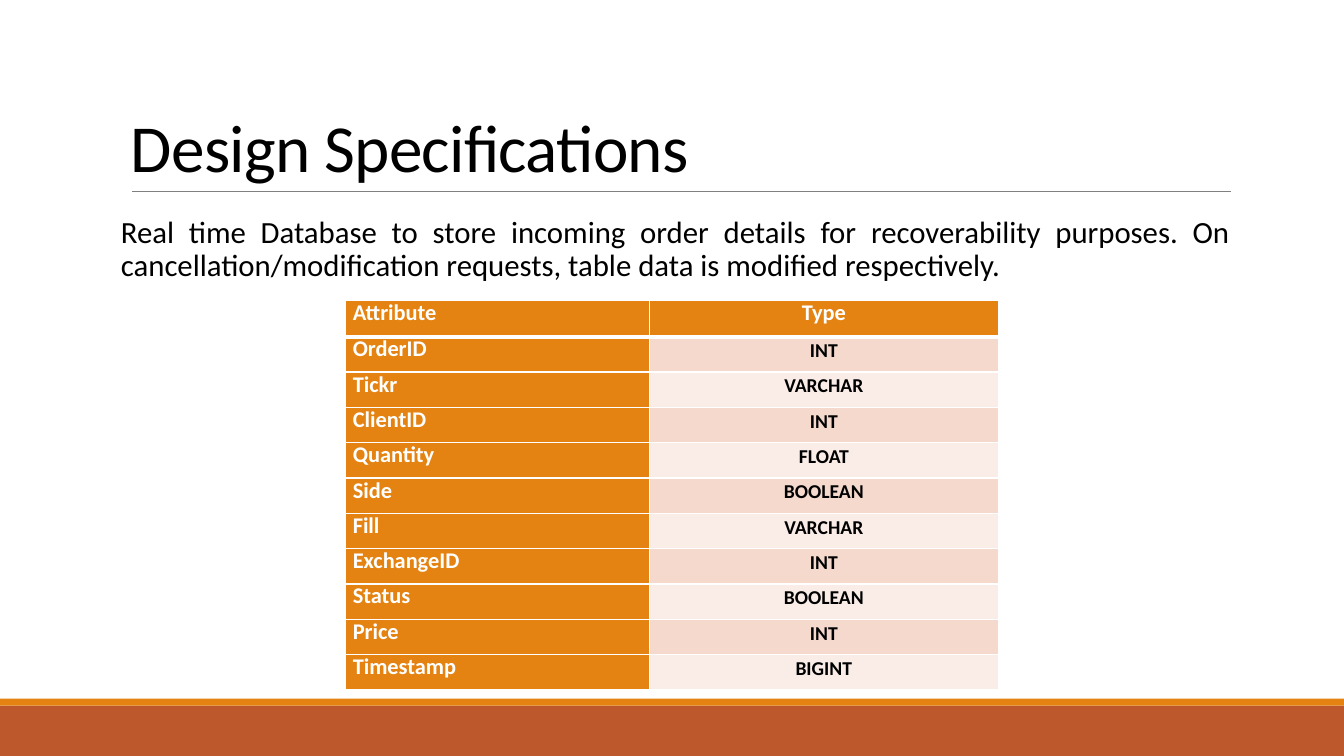
"""Build the Design Specifications slide with its order table."""
from dataclasses import dataclass

from lxml.etree import SubElement
from pptx import Presentation
from pptx.dml.color import RGBColor
from pptx.enum.shapes import MSO_CONNECTOR, MSO_SHAPE
from pptx.enum.text import MSO_ANCHOR, PP_ALIGN
from pptx.oxml.ns import qn
from pptx.slide import Slide
from pptx.table import _Cell
from pptx.text.text import TextFrame
from pptx.util import Length, Pt

WIDTH, HEIGHT = 960, 540
ORANGE, RUST, GRAY = "E48312", "BD582C", "808080"
BLACK, WHITE = "000000", "FFFFFF"
TYPE_FILLS = ("F5D9CC", "FAEDE7")


@dataclass(frozen=True)
class Band:
    """A full-width strip at the foot of the slide."""
    top: float
    height: float
    color: str


@dataclass(frozen=True)
class Field:
    """One attribute of the order table and its type."""
    attribute: str
    type_name: str


BANDS = (Band(504, 36, RUST), Band(499, 5, ORANGE))
HEADING = Field("Attribute", "Type")
FIELDS = (
    Field("OrderID", "INT"),
    Field("Tickr", "VARCHAR"),
    Field("ClientID", "INT"),
    Field("Quantity", "FLOAT"),
    Field("Side", "BOOLEAN"),
    Field("Fill", "VARCHAR"),
    Field("ExchangeID", "INT"),
    Field("Status", "BOOLEAN"),
    Field("Price", "INT"),
    Field("Timestamp", "BIGINT"),
)


def rgb(color: str) -> RGBColor:
    """Turn a hex string into a colour."""
    return RGBColor.from_string(color)


def write(frame: TextFrame, text: str, *, size: float, color: str = BLACK,
          bold: bool = False, align: PP_ALIGN = PP_ALIGN.LEFT,
          line_spacing: float | Length = 1.0, before: float = 0,
          after: float = 0, tracking: float = 0) -> None:
    """Put one formatted paragraph into a text frame."""
    paragraph = frame.paragraphs[0]
    paragraph.alignment = align
    paragraph.line_spacing = line_spacing
    paragraph.space_before, paragraph.space_after = Pt(before), Pt(after)
    run = paragraph.add_run()
    run.text = text
    run.font.name, run.font.size, run.font.bold = "Calibri", Pt(size), bold
    run.font.color.rgb = rgb(color)
    if tracking:
        run.font._element.set("spc", str(round(tracking * 100)))


def add_frame(slide: Slide, top: float, height: float, side_inset: float,
              anchor: MSO_ANCHOR) -> TextFrame:
    """Add a wrapping text box across the content width."""
    frame = slide.shapes.add_textbox(Pt(86.4), Pt(top), Pt(792), Pt(height)).text_frame
    frame.word_wrap = True
    frame.vertical_anchor = anchor
    frame.margin_left = frame.margin_right = Pt(side_inset)
    frame.margin_top = frame.margin_bottom = Pt(3.6)
    return frame


def add_band(slide: Slide, band: Band) -> None:
    """Draw a footer strip."""
    strip = slide.shapes.add_shape(
        MSO_SHAPE.RECTANGLE, 0, Pt(band.top), Pt(WIDTH), Pt(band.height))
    strip.shadow.inherit = False
    strip.fill.solid()
    strip.fill.fore_color.rgb = rgb(band.color)
    strip.line.fill.background()


def add_title_rule(slide: Slide) -> None:
    """Draw the thin rule under the title."""
    rule = slide.shapes.add_connector(
        MSO_CONNECTOR.STRAIGHT, Pt(94.3), Pt(136.8), Pt(879), Pt(136.8))
    rule.line.color.rgb = rgb(GRAY)
    rule.line.width = Pt(0.5)
    SubElement(rule._element.spPr, qn("a:effectLst"))


def add_borders(cell: _Cell, top: float, bottom: float) -> None:
    """Give a cell white borders, one point wide at the sides."""
    properties = cell._tc.get_or_add_tcPr()
    for side, width in (("L", 1), ("R", 1), ("T", top), ("B", bottom)):
        border = SubElement(properties, qn(f"a:ln{side}"), w=str(Pt(width)))
        fill = SubElement(border, qn("a:solidFill"))
        SubElement(fill, qn("a:srgbClr"), val=WHITE)


def fill_cell(cell: _Cell, text: str, fill: str, size: float, color: str,
              align: PP_ALIGN, top: float, bottom: float) -> None:
    """Format one table cell and write its text."""
    add_borders(cell, top, bottom)
    cell.fill.solid()
    cell.fill.fore_color.rgb = rgb(fill)
    cell.vertical_anchor = MSO_ANCHOR.MIDDLE
    cell.margin_left = cell.margin_right = Pt(5)
    cell.margin_top = cell.margin_bottom = Pt(0)
    write(cell.text_frame, text, size=size, color=color, bold=True,
          align=align, line_spacing=Pt(12))


def add_order_table(slide: Slide) -> None:
    """Add the table of order attributes and types."""
    records = (HEADING, *FIELDS)
    heights = [25.9] + [25.25] * len(FIELDS)
    widths = (216.9, 249.2)
    table = slide.shapes.add_table(
        len(records), len(widths), Pt(247), Pt(214.6),
        Pt(sum(widths)), Pt(sum(heights))).table
    table.first_row = table.horz_banding = False
    for column, width in zip(table.columns, widths):
        column.width = Pt(width)
    for index, (record, height) in enumerate(zip(records, heights)):
        table.rows[index].height = Pt(height)
        top = 3 if index == 1 else 1
        bottom = 3 if index == 0 else 1
        if index == 0:
            type_fill, type_size, type_color = ORANGE, 16, WHITE
        else:
            type_fill, type_size, type_color = TYPE_FILLS[(index - 1) % 2], 14, BLACK
        fill_cell(table.cell(index, 0), record.attribute, ORANGE, 16, WHITE,
                  PP_ALIGN.LEFT, top, bottom)
        fill_cell(table.cell(index, 1), record.type_name, type_fill, type_size,
                  type_color, PP_ALIGN.CENTER, top, bottom)


def main() -> None:
    """Build and save the presentation."""
    presentation = Presentation()
    presentation.slide_width, presentation.slide_height = Pt(WIDTH), Pt(HEIGHT)
    slide = presentation.slides.add_slide(presentation.slide_layouts[6])
    for band in BANDS:
        add_band(slide, band)
    add_title_rule(slide)
    write(add_frame(slide, 22.3, 114.5, 7.2, MSO_ANCHOR.BOTTOM),
          "Design Specifications", size=48, line_spacing=0.85, tracking=-0.5)
    write(add_frame(slide, 151.2, 316.8, 0, MSO_ANCHOR.TOP),
          "Real time Database to store incoming order details for "
          "recoverability purposes. On cancellation/modification requests, "
          "table data is modified respectively.",
          size=22, align=PP_ALIGN.JUSTIFY, line_spacing=0.9, before=12, after=2)
    add_order_table(slide)
    presentation.save("out.pptx")


main()
